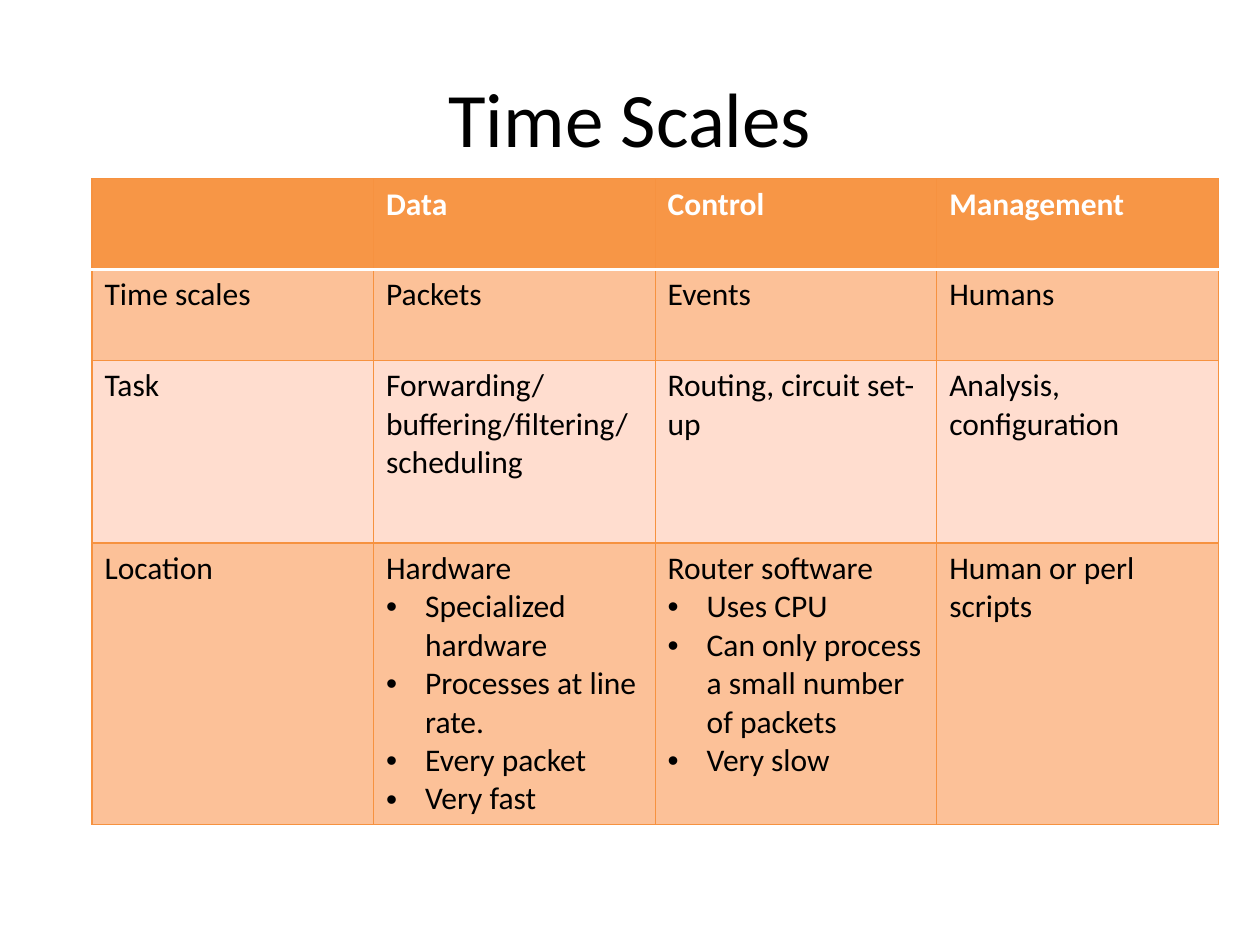
import pptx
import pptx.util
import pptx.dml.color
import pptx.enum.text
import pptx.oxml.ns
import lxml.etree

Inches, Pt = pptx.util.Inches, pptx.util.Pt
COLORS = {"head": "F79646", "band": "FCC198", "pale": "FFDDCF",
          "line": "F69240", "white": "FFFFFF", "black": "000000"}
TITLE = "Time Scales"
# Each cell is a lead line, or a lead line followed by bullets.
ROWS = [
    ["", "Data", "Control", "Management"],
    ["Time scales", "Packets", "Events", "Humans"],
    ["Task", "Forwarding/buffering/filtering/scheduling",
     "Routing, circuit set-up", "Analysis, configuration"],
    ["Location",
     ["Hardware", "Specialized hardware", "Processes at line rate.",
      "Every packet", "Very fast"],
     ["Router software", "Uses CPU",
      "Can only process a small number of packets", "Very slow"],
     "Human or perl scripts"],
]
HEIGHTS = [0.72, 0.72, 1.45, 2.2]
FILLS = ["head", "band", "pale", "band"]
LEFT, TOP, WIDTH = 0.73, 1.42, 8.94


def rgb(name):
    return pptx.dml.color.RGBColor.from_string(COLORS[name])


def add(node, tag, **attrs):
    return lxml.etree.SubElement(node, pptx.oxml.ns.qn(tag), attrs)


def write(para, text, size=18, color="black", bold=False, align=None):
    para.alignment = align
    run = para.add_run()
    run.text = text
    font = run.font
    font.name, font.size, font.bold = "Calibri", Pt(size), bold
    font.color.rgb = rgb(color)


def bullet(para):
    props = para._p.get_or_add_pPr()
    indent = Inches(0.31)
    props.set("marL", str(indent))
    props.set("indent", str(-indent))
    add(props, "a:buFont", typeface="Arial")
    add(props, "a:buChar", char="•")


def border(cell, side, color, width):
    line = add(cell._tc.get_or_add_tcPr(), "a:ln" + side, w=str(Pt(width)))
    add(add(line, "a:solidFill"), "a:srgbClr", val=COLORS[color])


def format_cell(cell, row):
    rule = ("white", 2)
    thin = ("line", 0.75)
    border(cell, "L", *thin)
    border(cell, "R", *thin)
    border(cell, "T", *(rule if row == 1 else thin))
    border(cell, "B", *(rule if row == 0 else thin))
    cell.fill.solid()
    cell.fill.fore_color.rgb = rgb(FILLS[row])


def fill_cell(cell, item, head):
    lines = [item] if isinstance(item, str) else item
    frame = cell.text_frame
    for i, text in enumerate(lines):
        para = frame.add_paragraph() if i else frame.paragraphs[0]
        if i:
            bullet(para)
        write(para, text, color="white" if head else "black", bold=head)


def main():
    deck = pptx.Presentation()
    deck.slide_width, deck.slide_height = Inches(10), Inches(7.5)
    slide = deck.slides.add_slide(deck.slide_layouts[5])

    title = slide.shapes.title
    title.left, title.top = Inches(0.5), Inches(0.3)
    title.width, title.height = Inches(9), Inches(1.25)
    title.text_frame.vertical_anchor = pptx.enum.text.MSO_ANCHOR.MIDDLE
    write(title.text_frame.paragraphs[0], TITLE, size=44,
          align=pptx.enum.text.PP_ALIGN.CENTER)

    table = slide.shapes.add_table(
        len(ROWS), len(ROWS[0]), Inches(LEFT), Inches(TOP),
        Inches(WIDTH), Inches(sum(HEIGHTS))).table
    for r, items in enumerate(ROWS):
        table.rows[r].height = Inches(HEIGHTS[r])
        for c, item in enumerate(items):
            cell = table.cell(r, c)
            format_cell(cell, r)
            if item:
                fill_cell(cell, item, head=r == 0)
    deck.save("out.pptx")


if __name__ == "__main__":
    main()
